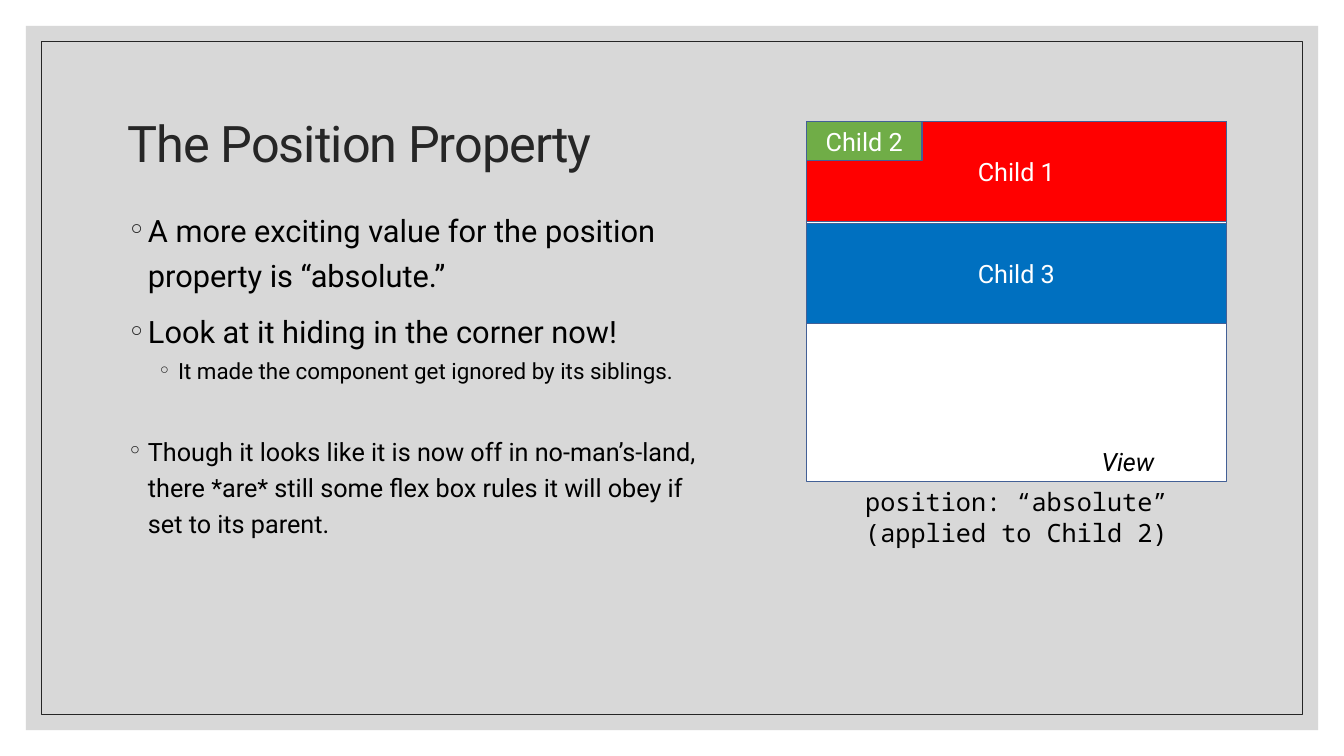
from lxml import etree
from pptx import Presentation
from pptx.dml.color import RGBColor
from pptx.enum.shapes import MSO_SHAPE
from pptx.enum.text import MSO_ANCHOR, PP_ALIGN
from pptx.oxml.ns import qn
from pptx.util import Cm, Pt

RECTANGLE = MSO_SHAPE.RECTANGLE
MIDDLE, TOP = MSO_ANCHOR.MIDDLE, MSO_ANCHOR.TOP
LEFT, CENTER = PP_ALIGN.LEFT, PP_ALIGN.CENTER
SANS, MONO = "Roboto", "Noto Sans Mono"
INK, BLACK, WHITE, OUTLINE = "262626", "000000", "FFFFFF", "436096"
WIDTH, HEIGHT = 33.87, 19.05
BULLET_POINTS = [
    (0, 22, 0, "A more exciting value for the position property is “absolute.”"),
    (0, 22, 9, "Look at it hiding in the corner now!"),
    (1, 16, 5, "It made the component get ignored by its siblings."),
    (0, 18, 33, "Though it looks like it is now off in no-man’s-land, there *are* "
                "still some flex box rules it will obey if set to its parent."),
]


def color(hex_code):
    """Turn a hex string into a colour."""
    return RGBColor.from_string(hex_code)


def add_rectangle(slide, box, fill=None, line=None, weight=1):
    """Draw a rectangle with an optional fill and outline."""
    rectangle = slide.shapes.add_shape(RECTANGLE, *map(Cm, box))
    rectangle.shadow.inherit = False
    if fill:
        rectangle.fill.solid()
        rectangle.fill.fore_color.rgb = color(fill)
    else:
        rectangle.fill.background()
    if line:
        rectangle.line.color.rgb = color(line)
        rectangle.line.width = Pt(weight)
    else:
        rectangle.line.fill.background()
    return rectangle


def add_text_area(slide, box, anchor=TOP, wrap=True):
    """Add an empty text box and return its text frame."""
    frame = slide.shapes.add_textbox(*map(Cm, box)).text_frame
    frame.word_wrap = wrap
    frame.vertical_anchor = anchor
    return frame


def add_run(paragraph, text, size, ink=BLACK, font=SANS, align=LEFT):
    """Write one styled run in an aligned paragraph."""
    paragraph.alignment = align
    run = paragraph.add_run()
    run.text = text
    run.font.name = font
    run.font.size = Pt(size)
    run.font.color.rgb = color(ink)
    return run


def add_bullet(paragraph, level):
    """Give a paragraph a hanging ring bullet."""
    properties = paragraph._p.get_or_add_pPr()
    properties.set("marL", str(Cm(0.51 + 0.76 * level)))
    properties.set("indent", str(-Cm(0.51)))
    bullet_color = etree.SubElement(properties, qn("a:buClr"))
    etree.SubElement(bullet_color, qn("a:srgbClr"), val=INK)
    etree.SubElement(properties, qn("a:buFont"), typeface=SANS)
    etree.SubElement(properties, qn("a:buChar"), char="◦")


def add_backdrop(slide, box):
    """Draw the translucent grey panel and the thin frame inside it."""
    left, top, width, height = box
    inset = 0.39
    panel = add_rectangle(slide, box, "BFBFBF")
    panel_color = panel.fill._xPr.find(".//" + qn("a:srgbClr"))
    etree.SubElement(panel_color, qn("a:alpha"), val="60000")
    add_rectangle(slide, (left + inset, top + inset, width - 2 * inset, height - 2 * inset),
                  line=INK, weight=0.5)


def add_title(slide, box):
    """Write the slide title."""
    paragraph = add_text_area(slide, box, MIDDLE).paragraphs[0]
    paragraph.line_spacing = 0.9
    title = add_run(paragraph, "The Position Property", 36, INK)
    title._r.get_or_add_rPr().set("spc", "-70")


def add_explanation(slide, box):
    """Write the bulleted explanation."""
    frame = add_text_area(slide, box)
    for index, (level, size, space, text) in enumerate(BULLET_POINTS):
        paragraph = frame.add_paragraph() if index else frame.paragraphs[0]
        add_bullet(paragraph, level)
        paragraph.level = level
        paragraph.line_spacing = 1.0 if level else 1.2
        paragraph.space_before = Pt(space)
        add_run(paragraph, text, size)


def add_view_diagram(slide, box):
    """Draw the view with its three children and the caption below."""
    left, top, width, height = box
    child_height, child_step = 2.51, 2.57
    add_rectangle(slide, box, WHITE, OUTLINE)
    children = [
        ("Child 1", "FF0000", (left, top, width, child_height)),
        ("Child 2", "70AD47", (left, top, 2.92, 0.97)),
        ("Child 3", "0070C0", (left, top + child_step, width, child_height)),
    ]
    for name, fill, child_box in children:
        frame = add_rectangle(slide, child_box, fill, OUTLINE).text_frame
        frame.vertical_anchor = MIDDLE
        add_run(frame.paragraphs[0], name, 18, WHITE, align=CENTER)

    view_label = add_text_area(slide, (left + 7.19, top + 8.06, 1.96, 1.02), wrap=False)
    add_run(view_label.paragraphs[0], "View", 18).font.italic = True

    overhang = 0.99
    caption = add_text_area(slide, (left - overhang, top + height, width + 2 * overhang, 1.8))
    add_run(caption.paragraphs[0], "position: “absolute”", 18, font=MONO, align=CENTER)
    add_run(caption.add_paragraph(), "(applied to Child 2)", 18, font=MONO, align=CENTER)


def main():
    """Build and save the slide."""
    deck = Presentation()
    deck.slide_width, deck.slide_height = Cm(WIDTH), Cm(HEIGHT)
    slide = deck.slides.add_slide(deck.slide_layouts[6])
    margin = 0.65
    add_backdrop(slide, (margin, margin, WIDTH - 2 * margin, HEIGHT - 2 * margin))
    add_title(slide, (2.97, 1.78, 27.94, 3.81))
    add_explanation(slide, (2.97, 5.03, 14.94, 12.55))
    add_view_diagram(slide, (20.32, 3.07, 10.59, 9.07))
    deck.save("out.pptx")


if __name__ == "__main__":
    main()
